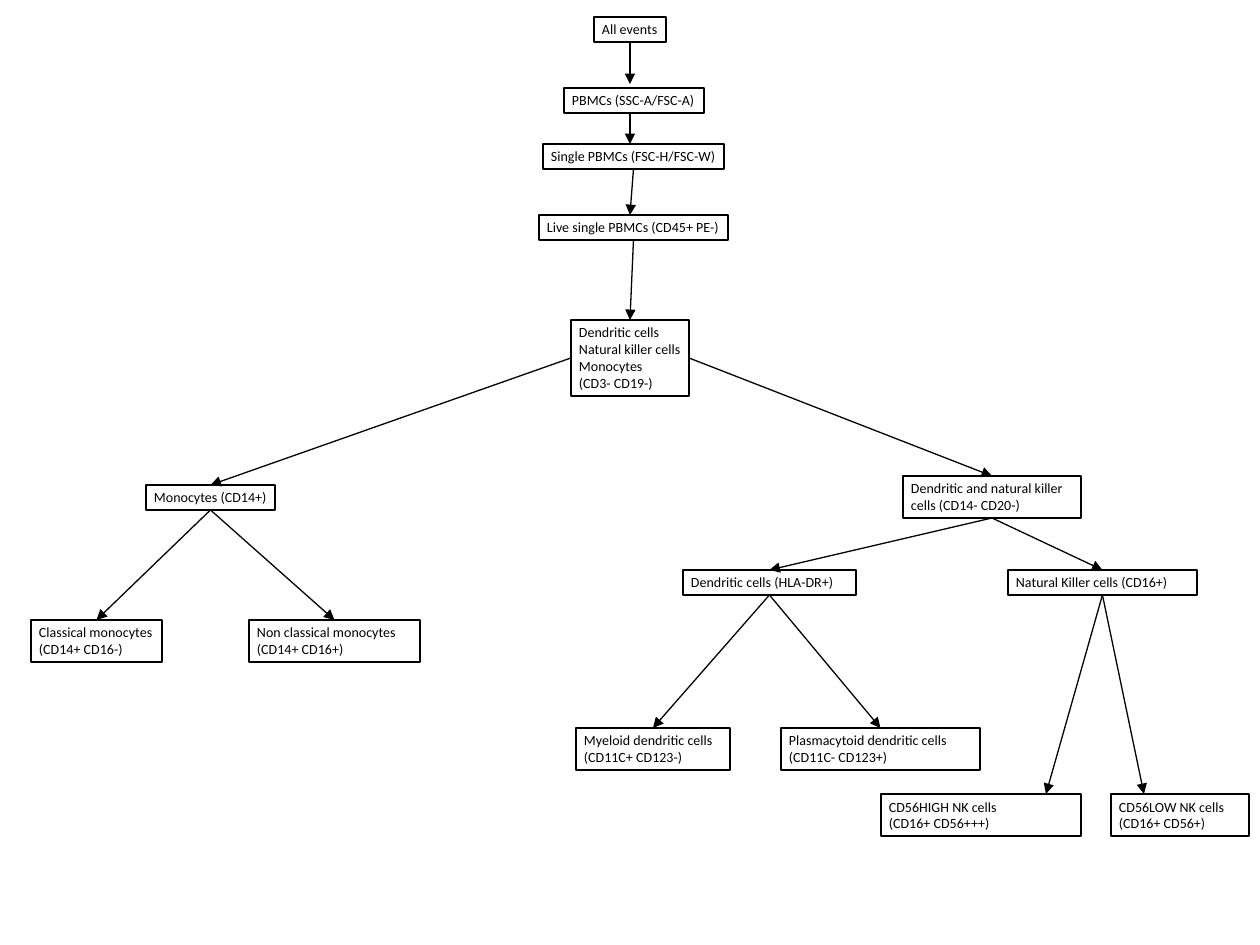
from lxml.etree import SubElement
from pptx import Presentation
from pptx.dml.color import RGBColor
from pptx.enum.shapes import MSO_CONNECTOR
from pptx.enum.text import MSO_AUTO_SIZE as AutoSize
from pptx.oxml.ns import qn
from pptx.util import Inches, Pt

PX = Inches(1) // 126
THEME = {"ink": RGBColor(0, 0, 0), "font": "Calibri", "size": Pt(8), "line": Pt(0.75)}
HEIGHTS = {1: 25, 2: 42, 4: 76}  # box height by number of text rows
PAD_X, PAD_Y = 8, 4
TOP, LEFT, BOTTOM, RIGHT = range(4)  # connection sites of a box

# gate: left, top, width, rows, wraps, paragraphs
GATES = {
    "all": (594, 17, 72, 1, False, ["All events"]),
    "pbmc": (564, 88, 140, 1, False, ["PBMCs (SSC-A/FSC-A)"]),
    "single": (543, 144, 181, 1, False, ["Single PBMCs (FSC-H/FSC-W)"]),
    "live": (539, 215, 189, 1, False, ["Live single PBMCs (CD45+ PE-)"]),
    "lineage": (571, 320, 118, 4, False,
                ["Dendritic cells ", "Natural killer cells", "Monocytes", "(CD3- CD19-)"]),
    "dc_nk": (903, 476, 178, 2, True, ["Dendritic and natural killer cells (CD14- CD20-)"]),
    "mono": (146, 485, 129, 1, False, ["Monocytes (CD14+)"]),
    "classical": (31, 620, 131, 2, False, ["Classical monocytes", "(CD14+ CD16-)"]),
    "nonclassical": (249, 620, 171, 2, True, ["Non classical monocytes", "(CD14+ CD16+)"]),
    "nk": (1008, 570, 189, 1, True, ["Natural Killer cells (CD16+)"]),
    "dc": (683, 570, 173, 1, True, ["Dendritic cells (HLA-DR+)"]),
    "plasmacytoid": (781, 728, 199, 2, True,
                     ["Plasmacytoid dendritic cells", "(CD11C- CD123+)"]),
    "myeloid": (576, 728, 154, 2, True, ["Myeloid dendritic cells (CD11C+ CD123-)"]),
    "nk_high": (881, 794, 200, 2, True, ["CD56HIGH NK cells", "(CD16+ CD56+++)"]),
    "nk_low": (1111, 794, 138, 2, True, ["CD56LOW NK cells", "(CD16+ CD56+)"]),
}

# parent, site it leaves from, children
BRANCHES = [
    ("all", BOTTOM, ["pbmc"]),
    ("pbmc", BOTTOM, ["single"]),
    ("single", BOTTOM, ["live"]),
    ("live", BOTTOM, ["lineage"]),
    ("lineage", LEFT, ["mono"]),
    ("lineage", RIGHT, ["dc_nk"]),
    ("mono", BOTTOM, ["classical", "nonclassical"]),
    ("dc_nk", BOTTOM, ["dc", "nk"]),
    ("dc", BOTTOM, ["myeloid", "plasmacytoid"]),
    ("nk", BOTTOM, ["nk_high", "nk_low"]),
]
# arrow ends that do not sit on a connection site
FREE_STARTS = {"pbmc": (630, 113)}
FREE_ENDS = {"pbmc": (630, 84), "single": (630, 144), "live": (630, 215),
             "nk_high": (1046, 794), "nk_low": (1144, 794)}


def add_gate(slide, left, top, width, rows, wraps, paragraphs):
    """Add one outlined box with its text and return it."""
    gate = slide.shapes.add_textbox(*(n * PX for n in (left, top, width, HEIGHTS[rows])))
    gate.line.color.rgb = THEME["ink"]
    gate.line.width = THEME["line"]
    frame = gate.text_frame
    frame.word_wrap = wraps
    frame.auto_size = AutoSize.SHAPE_TO_FIT_TEXT
    frame.margin_left = frame.margin_right = PAD_X * PX
    frame.margin_top = frame.margin_bottom = PAD_Y * PX
    for index, words in enumerate(paragraphs):
        paragraph = frame.add_paragraph() if index else frame.paragraphs[0]
        run = paragraph.add_run()
        run.text = words
        run.font.name, run.font.size = THEME["font"], THEME["size"]
        run.font.color.rgb = THEME["ink"]
    return gate


def add_arrow(slide, gates, parent, site, child):
    """Draw an arrow from a site of the parent to the top of the child."""
    start, end = FREE_STARTS.get(parent, (0, 0)), FREE_ENDS.get(child, (0, 0))
    arrow = slide.shapes.add_connector(
        MSO_CONNECTOR.STRAIGHT, *(n * PX for n in start + end))
    if parent not in FREE_STARTS:
        arrow.begin_connect(gates[parent], site)
    if child not in FREE_ENDS:
        arrow.end_connect(gates[child], TOP)
    arrow.line.color.rgb = THEME["ink"]
    arrow.line.width = THEME["line"]
    SubElement(arrow.line._get_or_add_ln(), qn("a:tailEnd"), type="triangle")
    SubElement(arrow._element.spPr, qn("a:effectLst"))


def build():
    """Build the gating tree and save it."""
    deck = Presentation()
    deck.slide_width, deck.slide_height = Inches(10), Inches(7.5)
    slide = deck.slides.add_slide(deck.slide_layouts[6])
    gates = {name: add_gate(slide, *gate) for name, gate in GATES.items()}
    for parent, site, children in BRANCHES:
        for child in children:
            add_arrow(slide, gates, parent, site, child)
    deck.save("out.pptx")


build()
